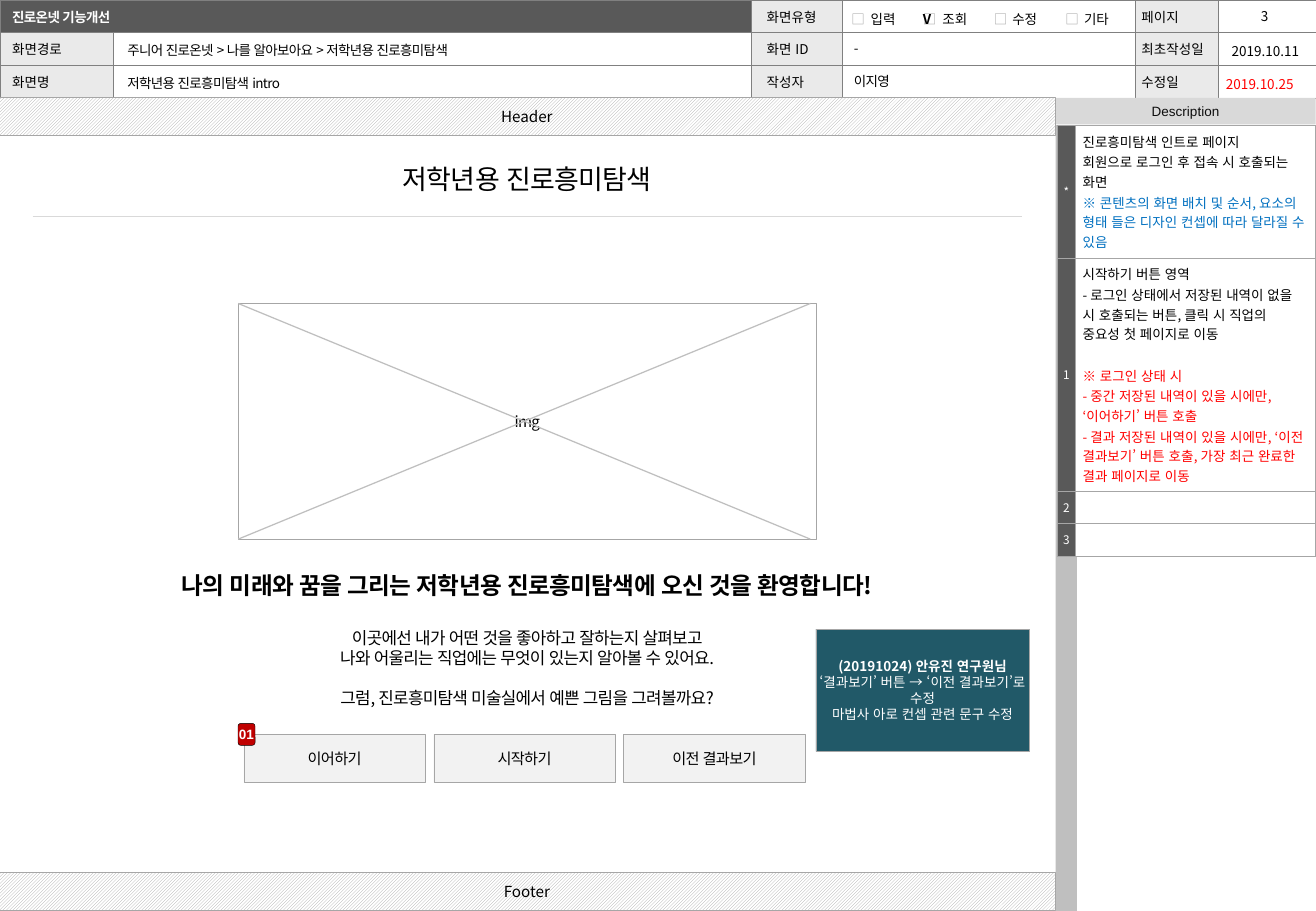
from lxml.etree import SubElement
from pptx import Presentation
from pptx.dml.color import RGBColor
from pptx.enum.dml import MSO_PATTERN
from pptx.enum.shapes import MSO_CONNECTOR, MSO_SHAPE
from pptx.enum.text import MSO_ANCHOR, PP_ALIGN
from pptx.oxml import parse_xml
from pptx.oxml.ns import nsdecls, qn
from pptx.util import Pt

NOTO = "Noto Sans CJK KR"
BLACK, WHITE, RED, BLUE = "000000", "FFFFFF", "FF0000", "0070C0"
GRAY, DARK, PALE, EDGE = "A6A6A6", "595959", "EAEAEA", "808080"
LEFT, MID, RIGHT = PP_ALIGN.LEFT, PP_ALIGN.CENTER, PP_ALIGN.RIGHT
TOP, CENTER, BASE = MSO_ANCHOR.TOP, MSO_ANCHOR.MIDDLE, MSO_ANCHOR.BOTTOM
PAD = (7.2, 3.6, 7.2, 3.6)
SLIM = (3.6, 3.6, 3.6, 3.6)
FLAT = (0, 3.6, 0, 3.6)


def rgb(code):
    return RGBColor.from_string(code)


def style(para, text, size=8, color=BLACK, bold=False, font=NOTO, align=LEFT,
          track=0, lead=None, before=0, after=0):
    """Fill one paragraph; track is letter spacing, lead the line height."""
    para.alignment = align
    para.space_before, para.space_after = Pt(before), Pt(after)
    if lead:
        para.line_spacing = Pt(lead)
    run = para.add_run()
    run.text = text
    run.font.size, run.font.bold, run.font.name = Pt(size), bold, font
    run.font.color.rgb = rgb(color)
    props = run.font._element
    props.set("lang", "ko-KR")
    props.set("altLang", "en-US")
    SubElement(props, qn("a:ea"), typeface=font)
    if track:
        props.set("spc", str(round(track * 100)))


def write(frame, text, **form):
    """Write a string, or a list of (string, own format) paragraphs."""
    rows = [(text, {})] if isinstance(text, str) else text
    for i, (line, own) in enumerate(rows):
        para = frame.add_paragraph() if i else frame.paragraphs[0]
        style(para, line, **{**form, **own})


def inset(item, pad):
    (item.margin_left, item.margin_top,
     item.margin_right, item.margin_bottom) = map(Pt, pad)


def label(slide, box, text, pad=PAD, anchor=BASE, wrap=True, **form):
    frame = slide.shapes.add_textbox(*map(Pt, box)).text_frame
    frame.word_wrap, frame.vertical_anchor = wrap, anchor
    inset(frame, pad)
    write(frame, text, **form)


def block(slide, box, text="", fill=WHITE, line=GRAY, kind=MSO_SHAPE.RECTANGLE,
          hatch=False, **form):
    shape = slide.shapes.add_shape(kind, *map(Pt, box))
    shape.shadow.inherit = False
    if hatch:
        shape.fill.patterned()
        shape.fill.pattern = MSO_PATTERN.LIGHT_UPWARD_DIAGONAL
        shape.fill.fore_color.rgb, shape.fill.back_color.rgb = rgb(GRAY), rgb(fill)
    else:
        shape.fill.solid()
        shape.fill.fore_color.rgb = rgb(fill)
    if line:
        shape.line.color.rgb, shape.line.width = rgb(line), Pt(0.25)
    else:
        shape.line.fill.background()
    if text:
        frame = shape.text_frame
        frame.word_wrap, frame.vertical_anchor = True, CENTER
        inset(frame, FLAT)
        write(frame, text, **{"align": MID, **form})


def rule(slide, start, end, color):
    line = slide.shapes.add_connector(MSO_CONNECTOR.STRAIGHT, *map(Pt, start + end))
    line.line.color.rgb, line.line.width = rgb(color), Pt(0.75)
    SubElement(line._element.spPr, qn("a:effectLst"))


def grid(slide, spot, cols, rows):
    shape = slide.shapes.add_table(len(rows), len(cols), *map(Pt, spot),
                                   Pt(sum(cols)), Pt(sum(rows)))
    table = shape.table
    table.first_row = table.horz_banding = False
    for part, size in zip(table.columns, cols):
        part.width = Pt(size)
    for part, size in zip(table.rows, rows):
        part.height = Pt(size)
    return table


def fill_cell(cell, text="", fill=None, edge=None, pad=PAD, anchor=CENTER, **form):
    props = cell._tc.get_or_add_tcPr()
    paint = (f'<a:solidFill><a:srgbClr val="{edge}"/></a:solidFill>'
             if edge else "<a:noFill/>")
    for i, side in enumerate("LRTB"):
        props.insert(i, parse_xml(
            f'<a:ln{side} {nsdecls("a")} w="3175">{paint}</a:ln{side}>'))
    if fill:
        cell.fill.solid()
        cell.fill.fore_color.rgb = rgb(fill)
    else:
        cell.fill.background()
    cell.vertical_anchor = anchor
    inset(cell, pad)
    if text:
        write(cell.text_frame, text, **form)
    else:
        SubElement(cell.text_frame.paragraphs[0]._p, qn("a:endParaRPr"), sz="800")


def draw_kinds(slide):
    """Row of type boxes, and a row over it that ticks one."""
    cols = (11.5, 31, 11.5, 30.5, 11, 31.5, 11, 31.5)
    kinds, ticks = (grid(slide, (501, 1.5), cols, (18.8,)) for _ in range(2))
    for i, name in enumerate(("입력", "조회", "수정", "기타")):
        fill_cell(kinds.cell(0, 2 * i), "□", pad=SLIM, color=GRAY, align=MID)
        fill_cell(kinds.cell(0, 2 * i + 1), name, pad=SLIM)
    for i in range(len(cols)):
        fill_cell(ticks.cell(0, i), "V" if i == 2 else "", pad=SLIM,
                  bold=True, align=RIGHT)


def draw_info(slide):
    """Top band: screen facts, type boxes and dates."""
    heads = [("진로온넷 기능개선", " 화면유형", "페이지"),
             ("화면경로", " 화면 ID", "최초작성일"),
             ("화면명", " 작성자", "수정일")]
    table = grid(slide, (0, 0), (67, 378, 54, 174, 49, 59), (19.1, 19.6, 19.4))
    table.cell(0, 0).merge(table.cell(0, 1))
    for r, names in enumerate(heads):
        for c, name in enumerate(names):
            first = r == c == 0
            fill_cell(table.cell(r, 2 * c), name, DARK if first else PALE, EDGE,
                      SLIM if c == 2 else PAD, color=WHITE if first else BLACK,
                      bold=first, track=-0.4 if first else 0)
            fill_cell(table.cell(r, 2 * c + 1), fill=WHITE, edge=EDGE)
    draw_kinds(slide)

    label(slide, (724.3, 5, 50.4, 9.4), "3", (5.8, 0, 5.8, 0), CENTER, align=MID)
    label(slide, (68.4, 20.2, 376.6, 18), "주니어 진로온넷 > 나를 알아보아요 > 저학년용 진로흥미탐색",
          track=-0.4)
    label(slide, (68.4, 39.6, 377, 18), "저학년용 진로흥미탐색 intro", track=-0.4)
    label(slide, (719.6, 40.3, 60.5, 18), "2019.10.25", color=RED)
    label(slide, (722.9, 20.2, 59.8, 18.7), "2019.10.11")
    label(slide, (499, 20.9, 172.8, 15.8), "-")
    label(slide, (499, 38.2, 174, 18), "이지영", track=-0.4)


def draw_notes(slide):
    """Right column: the numbered description."""
    block(slide, (625.7, 58, 154.1, 15.8), "Description", "D9D9D9", None,
          font="Arial", color="0D0D0D")
    block(slide, (625.7, 74.2, 12.7, 465.8), fill="BFBFBF", line=None)
    red = {"color": RED}
    notes = [
        ("*", [("진로흥미탐색 인트로 페이지", {}),
               ("회원으로 로그인 후 접속 시 호출되는 화면", {}),
               ("※ 콘텐츠의 화면 배치 및 순서, 요소의 형태 들은 디자인 컨셉에 따라 달라질 수 있음",
                {"color": BLUE})]),
        ("1", [("시작하기 버튼 영역", {}),
               ("- 로그인 상태에서 저장된 내역이 없을 시 호출되는 버튼, 클릭 시 직업의 중요성 첫 페이지로 이동", {}),
               ("※ 로그인 상태 시", {**red, "before": 12.2}),
               ("- 중간 저장된 내역이 있을 시에만, ‘이어하기’ 버튼 호출", red),
               ("- 결과 저장된 내역이 있을 시에만, ‘이전 결과보기’ 버튼 호출, 가장 최근 완료한 결과 페이지로 이동",
                red)]),
        ("2", ""),
        ("3", ""),
    ]
    table = grid(slide, (626.6, 74.2), (10.8, 142.4), (78.8, 138.1, 19.2, 19.3))
    for r, (mark, note) in enumerate(notes):
        fill_cell(table.cell(r, 0), mark, DARK, GRAY, FLAT,
                  size=7, color=WHITE, align=MID)
        fill_cell(table.cell(r, 1), note, WHITE, GRAY, (4.3, 3.6, 4.9, 3.6), TOP,
                  after=0.6)


def draw_page(slide):
    """Wireframe of the intro page."""
    for name, top in (("Header", 57.8), ("Footer", 517)):
        block(slide, (-0.9, top, 626.4, 22.5), name, hatch=True, size=9)
    label(slide, (229.3, 92.9, 166.3, 26.6), "저학년용 진로흥미탐색", anchor=TOP,
          wrap=False, size=16, align=MID, track=-0.4, lead=19)
    rule(slide, (19.4, 128.5), (605.5, 128.5), "D9D9D9")

    left, right, top, base = 141.2, 480.3, 179.9, 319.6
    block(slide, (left, top, 342.7, base - top), "img", size=9, track=-0.4)
    rule(slide, (left, top), (right, base), "BFBFBF")
    rule(slide, (left, base), (right, top), "BFBFBF")

    label(slide, (87.1, 335.4, 450.7, 90), [
        ("나의 미래와 꿈을 그리는 저학년용 진로흥미탐색에 오신 것을 환영합니다!",
         {"size": 14, "bold": True, "lead": 16.5}),
        ("이곳에선 내가 어떤 것을 좋아하고 잘하는지 살펴보고", {"before": 16.5}),
        ("나와 어울리는 직업에는 무엇이 있는지 알아볼 수 있어요.", {}),
        ("그럼, 진로흥미탐색 미술실에서 예쁜 그림을 그려볼까요?", {"before": 12}),
    ], anchor=TOP, size=10, align=MID, track=-0.4, lead=12)

    for i, name in enumerate(("이어하기", "시작하기", "이전 결과보기")):
        block(slide, (144.5 + 112.6 * i, 435.4, 107.6, 28.4), name, "F2F2F2",
              size=9, track=-0.4)
    block(slide, (141.1, 428.8, 10.1, 13), "01", "C00000", BLACK,
          MSO_SHAPE.ROUNDED_RECTANGLE, font="Arial", color=WHITE, bold=True)
    block(slide, (483.6, 373, 126.6, 72.4), [
        ("(20191024) 안유진 연구원님", {"bold": True}),
        ("‘결과보기’ 버튼 → ‘이전 결과보기’로 수정", {}),
        ("마법사 아로 컨셉 관련 문구 수정", {}),
    ], "215968", color=WHITE, lead=9.5)


def main():
    deck = Presentation()
    deck.slide_width, deck.slide_height = Pt(780), Pt(540)
    slide = deck.slides.add_slide(deck.slide_layouts[6])
    draw_info(slide)
    draw_notes(slide)
    draw_page(slide)
    deck.save("out.pptx")


if __name__ == "__main__":
    main()
